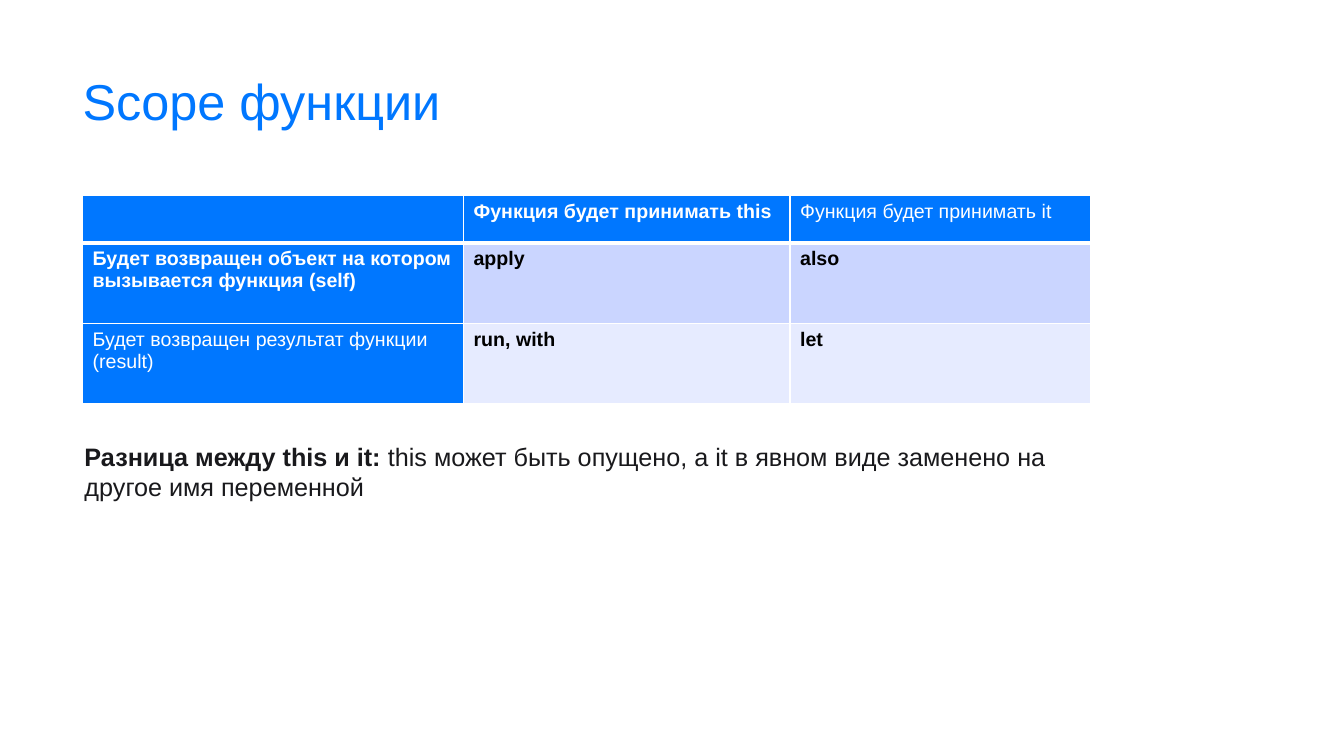
from lxml import etree
from pptx import Presentation, util as u
from pptx.dml.color import RGBColor
from pptx.enum import text
from pptx.oxml import ns

BLUE, WHITE, BLACK, INK = "0077FF", "FFFFFF", "000000", "19191C"


def paint(item, color):
    item.solid()
    item.fore_color.rgb = RGBColor.from_string(color)


class Page:
    """Holds the style and the current slide, and adds its elements."""

    def __init__(self, deck, font="Arial"):
        self.slide = deck.slides.add_slide(deck.slide_layouts[5])
        self.font = font

    def put(self, para, words, size, color, bold=False):
        run = para.add_run()
        run.text = words
        run.font.name = self.font
        run.font.size = u.Pt(size)
        run.font.bold = bold
        paint(run.font.fill, color)

    def title(self, words, box):
        shape = self.slide.shapes.title
        shape.left, shape.top, shape.width, shape.height = map(u.Cm, box)
        frame = shape.text_frame
        frame.margin_left = frame.margin_right = 0
        frame.margin_top = frame.margin_bottom = 0
        frame.vertical_anchor = text.MSO_ANCHOR.TOP
        frame.auto_size = text.MSO_AUTO_SIZE.NONE
        para = frame.paragraphs[0]
        para.alignment = text.PP_ALIGN.LEFT
        para.line_spacing = 0.9
        self.put(para, words, 36, BLUE)

    def edge(self, cell, side, width):
        props = cell._tc.get_or_add_tcPr()
        line = etree.SubElement(props, ns.qn(f"a:ln{side}"), w=str(u.Pt(width)))
        fill = etree.SubElement(line, ns.qn("a:solidFill"))
        etree.SubElement(fill, ns.qn("a:srgbClr"), val=WHITE)

    def table(self, rows, left, top, widths, heights, bands):
        box = map(u.Cm, (left, top, sum(widths), sum(heights)))
        grid = self.slide.shapes.add_table(len(rows), len(widths), *box).table
        for col, width in zip(grid.columns, widths):
            col.width = u.Cm(width)
        for row, height in zip(grid.rows, heights):
            row.height = u.Cm(height)
        for r, row in enumerate(rows):
            for c, (words, bold) in enumerate(row):
                cell = grid.cell(r, c)
                head = r == 0 or c == 0
                for side in "LRTB":
                    thick = (r, side) in ((0, "B"), (1, "T"))
                    self.edge(cell, side, 3 if thick else 1)
                paint(cell.fill, BLUE if head else bands[r - 1])
                if words:
                    para = cell.text_frame.paragraphs[0]
                    self.put(para, words, 14, WHITE if head else BLACK, bold)

    def note(self, runs, box):
        frame = self.slide.shapes.add_textbox(*map(u.Cm, box)).text_frame
        frame.word_wrap = True
        frame.auto_size = text.MSO_AUTO_SIZE.SHAPE_TO_FIT_TEXT
        for words, bold in runs:
            self.put(frame.paragraphs[0], words, 18, INK, bold)


def main():
    deck = Presentation()
    deck.slide_width, deck.slide_height = u.Cm(33.87), u.Cm(19.05)
    page = Page(deck)
    page.title("Scope функции", (2.08, 1.93, 30.15, 1.78))
    rows = [
        [("", False), ("Функция будет принимать this", True),
         ("Функция будет принимать it", False)],
        [("Будет возвращен объект на котором вызывается функция (self)", True),
         ("apply", True), ("also", True)],
        [("Будет возвращен результат функции (result)", False),
         ("run, with", True), ("let", True)],
    ]
    page.table(rows, 2.08, 4.93, (9.6, 8.23, 7.57), (1.19, 2.03, 2.03),
               ("CAD5FF", "E6EBFF"))
    page.note([("Разница между this и it:", True),
               (" this может быть опущено, а it в явном виде заменено на "
                "другое имя переменной", False)], (1.88, 11, 25.43, 1.8))
    deck.save("out.pptx")


if __name__ == "__main__":
    main()
